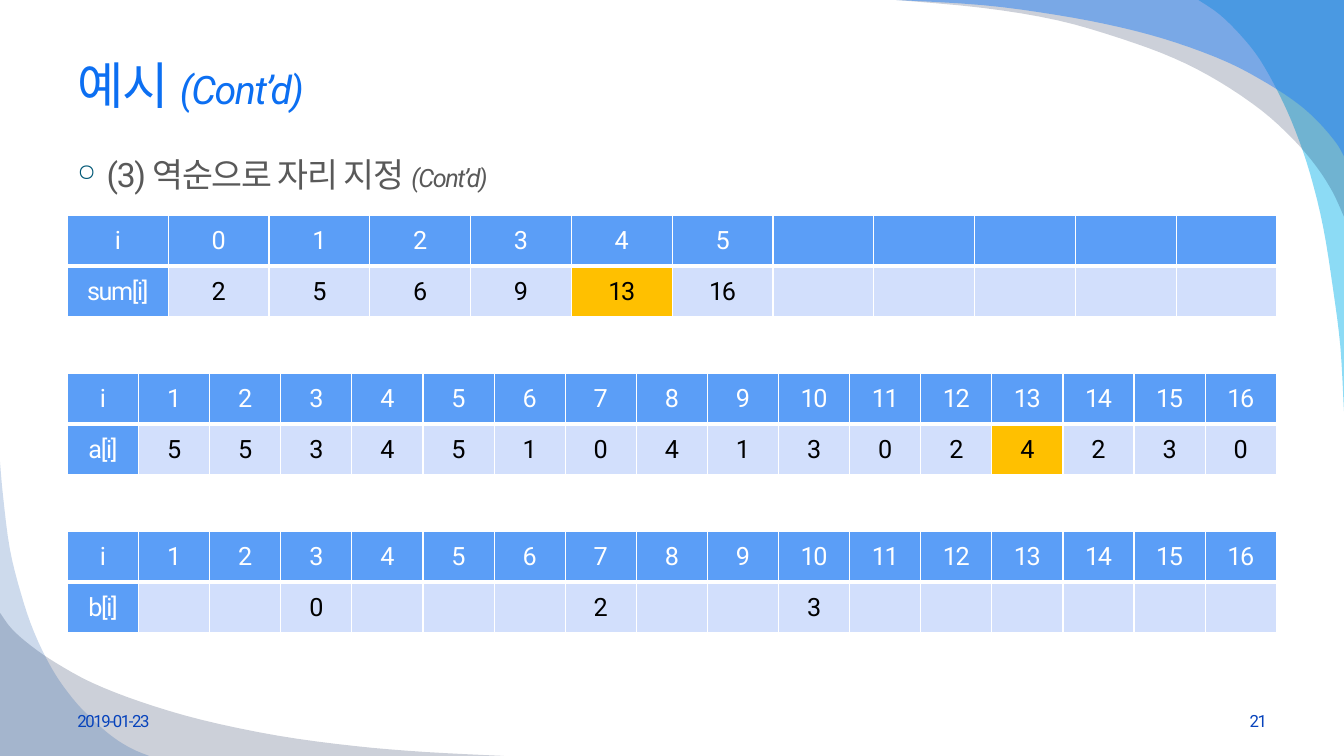
import pptx
import pptx.dml.color
import pptx.enum.text
import pptx.oxml
import pptx.oxml.ns
import pptx.util

Cm = pptx.util.Cm
Pt = pptx.util.Pt
ALIGN = pptx.enum.text.PP_ALIGN
MIDDLE = pptx.enum.text.MSO_ANCHOR.MIDDLE
TOP = pptx.enum.text.MSO_ANCHOR.TOP
NAMESPACE = pptx.oxml.ns.nsdecls("a")

LEFT, WIDTH = 1.7, 30.48
BLUE, PALE, AMBER = "5B9EF7", "D2DFFC", "FFC000"


def color(code):
    return pptx.dml.color.RGBColor.from_string(code)


def element(markup):
    """Make an element from markup such as '<a:tag .../>'."""
    return pptx.oxml.parse_xml(markup.replace(" ", f" {NAMESPACE} ", 1))


def smooth(knots, steps=4):
    """Points of a Catmull-Rom curve through the knots."""
    ends = [knots[0], *knots, knots[-1]]
    points = [knots[0]]
    for a, b, c, d in zip(ends, ends[1:], ends[2:], ends[3:]):
        for step in range(1, steps + 1):
            t = step / steps
            points.append(tuple(
                (2 * q + (r - p) * t + (2 * p - 5 * q + 4 * r - s) * t ** 2
                 + (3 * q - p - 3 * r + s) * t ** 3) / 2
                for p, q, r, s in zip(a, b, c, d)))
    return points


class Page:
    """The current slide and its text style."""

    font_name = "Roboto"
    tracking = "-100"

    def __init__(self, deck):
        self.shapes = deck.slides.add_slide(deck.slide_layouts[6]).shapes

    def span(self, para, text, size, code, italic=False):
        run = para.add_run()
        run.text = text
        formats = {"name": self.font_name, "size": Pt(size), "italic": italic}
        for name, value in formats.items():
            setattr(run.font, name, value)
        run.font.color.rgb = color(code)
        properties = run.font._element
        properties.set("spc", self.tracking)
        latin = properties.find(pptx.oxml.ns.qn("a:latin"))
        latin.addnext(element(f'<a:ea typeface="{self.font_name}"/>'))

    def text(self, place, spans, anchor=MIDDLE, align=ALIGN.LEFT, bullet=False):
        box = self.shapes.add_textbox(*map(Cm, place))
        formats = {"word_wrap": True, "vertical_anchor": anchor}
        for name, value in formats.items():
            setattr(box.text_frame, name, value)
        para = box.text_frame.paragraphs[0]
        para.alignment = align
        if bullet:
            properties = para._p.get_or_add_pPr()
            properties.set("marL", str(Cm(0.74)))
            properties.set("indent", str(Cm(-0.74)))
            for markup in ('<a:buClr ><a:srgbClr val="005876"/></a:buClr>',
                           '<a:buSzPct val="70000"/>',
                           '<a:buChar char="○"/>'):
                properties.append(element(markup))
        for span in spans:
            self.span(para, *span)

    def swoosh(self, corner, knots, code, opacity):
        """A corner of the page cut off by a smooth curve."""
        points = [(Cm(x), Cm(y)) for x, y in smooth(knots)]
        builder = self.shapes.build_freeform(Cm(corner[0]), Cm(corner[1]))
        builder.add_line_segments(points, close=True)
        shape = builder.convert_to_shape()
        shape.shadow.inherit = False
        shape.line.fill.background()
        shape.fill.solid()
        shape.fill.fore_color.rgb = color(code)
        tint = shape._element.spPr.find(".//" + pptx.oxml.ns.qn("a:srgbClr"))
        tint.append(element(f'<a:alpha val="{opacity * 1000}"/>'))

    def cell(self, cell, text, fill, code, borders):
        cell.fill.solid()
        cell.fill.fore_color.rgb = color(fill)
        cell.vertical_anchor = MIDDLE
        for index, (side, width) in enumerate(borders.items()):
            cell._tc.tcPr.insert(index, element(
                f'<a:ln{side} w="{Pt(width)}"><a:solidFill>'
                f'<a:srgbClr val="FFFFFF"/></a:solidFill></a:ln{side}>'))
        para = cell.text_frame.paragraphs[0]
        para.alignment = ALIGN.CENTER
        if text:
            self.span(para, text, 18, code)

    def table(self, top, indices, values, marked=None):
        """An index row over a value row; marked is the highlighted column."""
        count, height = len(indices), 1.28
        frame = self.shapes.add_table(
            2, count, Cm(LEFT), Cm(top), Cm(WIDTH), Cm(2 * height))
        table = frame.table
        table.first_row = table.horz_banding = False
        for column in table.columns:
            column.width = Cm(WIDTH / count)
        for row in table.rows:
            row.height = Cm(height)
        for index in range(count):
            self.cell(table.cell(0, index), indices[index], BLUE, "FFFFFF",
                      {"L": 1, "R": 1, "T": 1, "B": 3})
            fill = BLUE if index == 0 else AMBER if index == marked else PALE
            self.cell(table.cell(1, index), values[index], fill,
                      "FFFFFF" if index == 0 else "000000",
                      {"L": 1, "R": 1, "T": 3, "B": 1})


def main():
    deck = pptx.Presentation()
    deck.slide_width, deck.slide_height = Cm(33.87), Cm(19.05)
    page = Page(deck)

    # Curved decoration: top right, then bottom left
    top_right, bottom_left = (33.87, 0), (0, 19.05)
    page.swoosh(top_right, [
        (30.2, 0), (30.73, 0.36), (31.27, 0.89), (31.75, 1.5), (32.23, 2.36),
        (32.64, 3.28), (33.02, 4.39), (33.35, 5.74), (33.6, 7.32),
        (33.78, 8.74), (33.87, 10.36)], "00B1E9", 45)
    page.swoosh(top_right, [
        (22.58, 0), (24.77, 0.2), (26.64, 0.51), (28.24, 0.97), (29.59, 1.47),
        (30.73, 2.06), (31.8, 2.79), (32.59, 3.51), (33.17, 4.19),
        (33.58, 4.83), (33.87, 5.46)], "021741", 20)
    page.swoosh(top_right, [
        (22.58, 0), (24.77, 0.13), (26.64, 0.38), (28.24, 0.69), (29.62, 1.07),
        (30.94, 1.57), (31.95, 2.11), (32.72, 2.62), (33.25, 3.1),
        (33.68, 3.61), (33.87, 3.94)], "247FF4", 49)
    page.swoosh(bottom_left, [
        (0, 15.44), (0.3, 15.85), (0.79, 16.28), (1.42, 16.71), (2.31, 17.2),
        (3.53, 17.68), (5.08, 18.14), (7.01, 18.54), (8.94, 18.8),
        (10.72, 18.95), (12.7, 19.05)], "021741", 20)
    page.swoosh(bottom_left, [
        (0, 11.63), (0.08, 12.52), (0.25, 13.84), (0.53, 14.96), (0.86, 15.93),
        (1.32, 16.87), (1.83, 17.6), (2.34, 18.14), (2.87, 18.59),
        (3.33, 18.87), (3.76, 19.05)], "084AA1", 20)

    # Title and body
    page.text((LEFT, 0.84, WIDTH, 2.57),
              [("예시 ", 36, "0C6FF2"), ("(Cont’d)", 28, "0C6FF2", True)])
    page.text((LEFT, 3.76, WIDTH, 13.26),
              [("(3) 역순으로 자리 지정 ", 24, "595959"),
               ("(Cont’d)", 18, "595959", True)], anchor=TOP, bullet=True)

    # Footer
    page.text((LEFT, 17.65, 7.9, 1.02), [("2019-01-23", 12, "0743BC")])
    page.text((24.28, 17.65, 7.9, 1.02), [("21", 12, "0743BC")],
              align=ALIGN.RIGHT)

    # Counting sort arrays
    sums = ["sum[i]", "2", "5", "6", "9", "13", "16"] + [""] * 5
    sum_indices = ["i", *map(str, range(6))] + [""] * 5
    indices = ["i", *map(str, range(1, 17))]
    source = ["a[i]", *"5534510413024230"]
    placed = {3: "0", 7: "2", 10: "3"}
    result = ["b[i]", *(placed.get(slot, "") for slot in range(1, 17))]
    arrays = [(sum_indices, sums, 5), (indices, source, 13), (indices, result)]
    for order, array in enumerate(arrays):
        page.table(5.43 + 3.98 * order, *array)

    deck.save("out.pptx")


if __name__ == "__main__":
    main()
